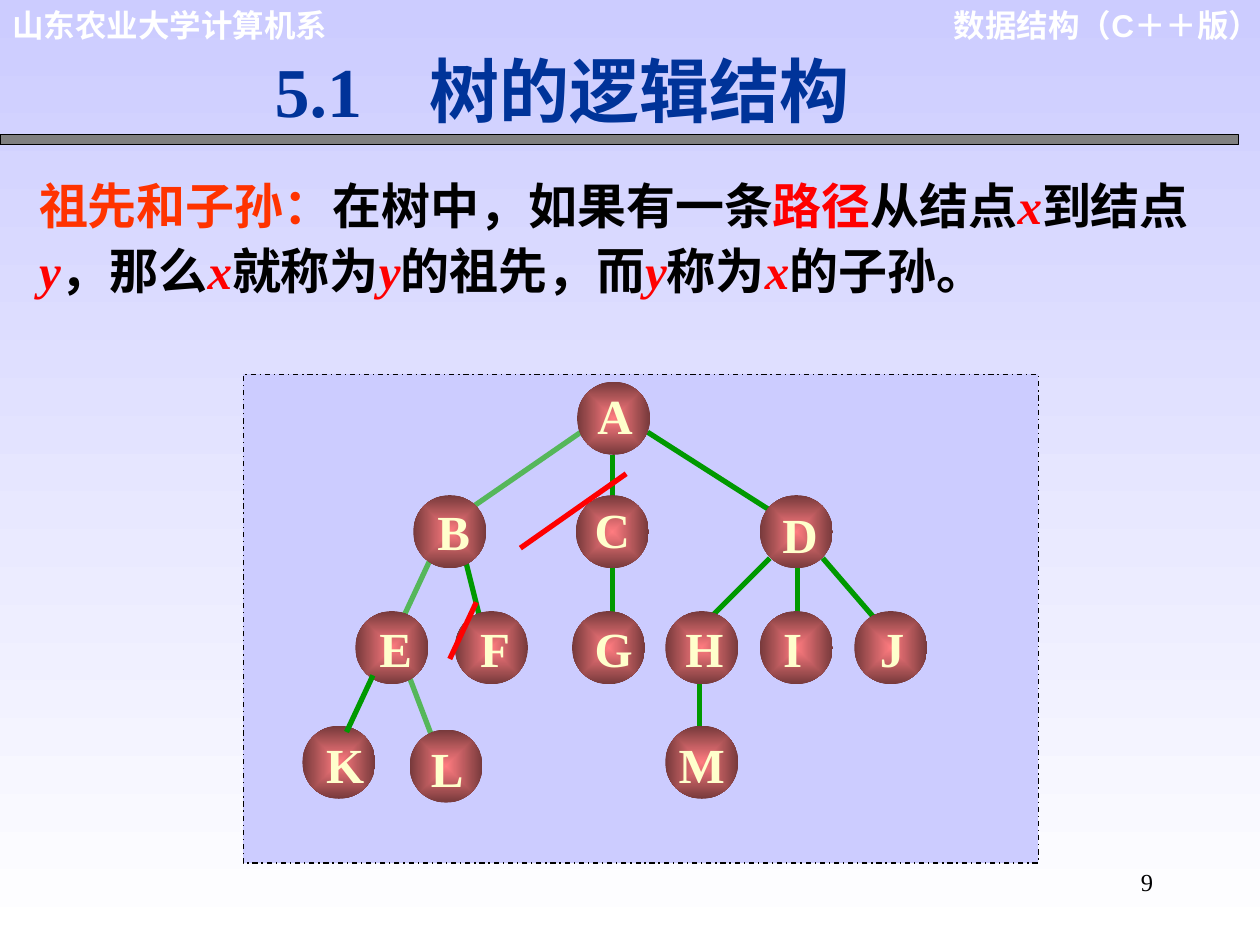
from lxml import etree
from pptx import Presentation
from pptx.dml.color import RGBColor
from pptx.enum.dml import MSO_LINE
from pptx.enum.shapes import MSO_CONNECTOR, MSO_SHAPE
from pptx.enum.text import MSO_ANCHOR, MSO_AUTO_SIZE, PP_ALIGN
from pptx.oxml.ns import qn
from pptx.util import Inches, Pt

SANS, SERIF = "Noto Sans CJK SC", "Times New Roman"
GREEN, PALE, RED = "009900", "55B75A", "FF0000"

prs = Presentation()
prs.slide_width, prs.slide_height = Inches(10), Inches(7.5)
U = prs.slide_width // 1000  # grid of 1000 columns by 750 rows
s = prs.slides.add_slide(prs.slide_layouts[1])


def rgb(value):
    return RGBColor.from_string(value)


def write(sp, box, runs, size, align=PP_ALIGN.LEFT, anchor=MSO_ANCHOR.TOP,
          wrap=True, inset=10, spacing=1.0):
    """Place a text shape; each run is (text, font, colour, bold, italic)."""
    sp.left, sp.top, sp.width, sp.height = [v * U for v in box]
    tf = sp.text_frame
    tf.auto_size, tf.word_wrap, tf.vertical_anchor = MSO_AUTO_SIZE.NONE, wrap, anchor
    tf.margin_left = tf.margin_right = inset * U
    tf.margin_top = tf.margin_bottom = 5 * U
    p = tf.paragraphs[0]
    p.alignment, p.line_spacing, p.space_before = align, spacing, Pt(0)
    for text, font, color, bold, italic in runs:
        r = p.add_run()
        r.text = text
        r.font.name, r.font.size = font, Pt(size)
        r.font.bold, r.font.italic = bold, italic
        r.font.color.rgb = rgb(color)
        etree.SubElement(r.font._element, qn("a:ea")).set("typeface", SANS)
    return p


# Background
bg = s.background.fill
bg.gradient()
bg.gradient_angle = 270
for stop, color in zip(bg.gradient_stops, ("CCCCFF", "FFFFFF")):
    stop.color.rgb = rgb(color)

# Headers and page number
for text, box, size, font, color, bold, align in (
    ("数据结构（C＋＋版）", (739, 0, 271, 70), 18, "Arial", "FFFFFF", True, PP_ALIGN.RIGHT),
    ("山东农业大学计算机系", (0, 0, 271, 40), 18, "Arial", "FFFFFF", True, PP_ALIGN.LEFT),
    ("9", (717, 683, 208, 50), 14, SERIF, "000000", False, PP_ALIGN.RIGHT),
):
    tb = s.shapes.add_textbox(0, 0, U, U)
    write(tb, box, [(text, font, color, bold, False)], size, align)

# Rule under the title and dashed frame of the tree
for box, fill, dash in (((0, 107, 983, 8), "808080", None),
                        ((193, 297, 631, 388), "CCCCFF", MSO_LINE.DASH_DOT)):
    sp = s.shapes.add_shape(MSO_SHAPE.RECTANGLE, *[v * U for v in box])
    sp.shadow.inherit = False
    sp.fill.solid()
    sp.fill.fore_color.rgb = rgb(fill)
    sp.line.color.rgb = rgb("000000")
    sp.line.width = Pt(0.75)
    if dash:
        sp.line.dash_style = dash

# Title: a tab stop parts the number from the words
p = write(s.shapes.title, (208, 33, 483, 77),
          [("5.1\t树的逻辑结构", SERIF, "003399", True, False)], 40)
tabs = etree.SubElement(p._p.get_or_add_pPr(), qn("a:tabLst"))
etree.SubElement(tabs, qn("a:tab"), {"pos": str(123 * U), "algn": "l"})

# Definition: variables are red italics
definition = [("祖先和子孙：", "FF3300"), ("在树中，如果有一条", "000000"), ("路径", RED)]
definition += [(t, RED if t in "xy" else "000000") for t in (
    "从结点", "x", "到结点", "y", "，那么", "x", "就称为", "y",
    "的祖先，而", "y", "称为", "x", "的子孙。")]
p = write(s.placeholders[1], (31, 130, 940, 113),
          [(t, SERIF if t in "xy" else SANS, c, True, t in "xy") for t, c in definition],
          28, inset=0, spacing=1.1)
pPr = p._p.get_or_add_pPr()
pPr.set("marL", "0")
pPr.set("indent", "0")
etree.SubElement(pPr, qn("a:buNone"))

# Edges of the tree, below and above the nodes
edges_below = [
    (653, 443, 703, 501, GREEN), (611, 443, 561, 493, GREEN),
    (633, 451, 633, 493, GREEN), (555, 543, 555, 593, GREEN),
    (514, 343, 619, 410, GREEN), (461, 343, 377, 401, PALE),
    (486, 361, 486, 543, GREEN), (369, 443, 384, 503, GREEN),
    (324, 535, 343, 585, PALE), (342, 443, 321, 488, PALE),
]
edges_above = [(296, 536, 275, 581, GREEN),
               (497, 376, 413, 435, RED), (378, 478, 357, 523, RED)]

# Nodes: left, top, then shift of the letter
D = 58
nodes = {
    "A": (458, 303, 1, -2),
    "B": (328, 393, 3, 0), "C": (457, 393, 0, -2), "D": (603, 393, 3, 2),
    "E": (282, 485, 3, 1), "F": (361, 485, 3, 1), "G": (454, 485, 4, 1),
    "H": (528, 485, 2, 1), "I": (603, 485, -3, 1), "J": (678, 485, 1, 1),
    "K": (240, 576, 5, 2), "L": (325, 579, 1, 2), "M": (528, 576, 0, 2),
}

for edges in (edges_below, edges_above):
    for x1, y1, x2, y2, color in edges:
        line = s.shapes.add_connector(MSO_CONNECTOR.STRAIGHT, x1 * U, y1 * U, x2 * U, y2 * U)
        line.line.color.rgb = rgb(color)
        line.line.width = Pt(3)
        etree.SubElement(line._element.spPr, qn("a:effectLst"))
    if edges is edges_above:
        break
    for x, y, *_ in nodes.values():
        sp = s.shapes.add_shape(MSO_SHAPE.OVAL, x * U, y * U, D * U, D * U)
        sp.shadow.inherit = False
        sp.line.fill.background()
        sp.fill.gradient()
        for stop, color in zip(sp.fill.gradient_stops, ("FF7C80", "76393B")):
            stop.color.rgb = rgb(color)
        # Gradient from the centre outwards
        grad = sp._element.spPr.find(qn("a:gradFill"))
        grad.remove(grad.find(qn("a:lin")))
        shade = etree.SubElement(grad, qn("a:path"), {"path": "rect"})
        etree.SubElement(shade, qn("a:fillToRect"), dict.fromkeys("ltrb", "50000"))
    for letter, (x, y, dx, dy) in nodes.items():
        tb = s.shapes.add_textbox(0, 0, U, U)
        write(tb, (x + dx, y + dy, D, D - 1), [(letter, SERIF, "FFFFCC", True, False)],
              28, PP_ALIGN.CENTER, MSO_ANCHOR.MIDDLE, wrap=False)

prs.save("out.pptx")
